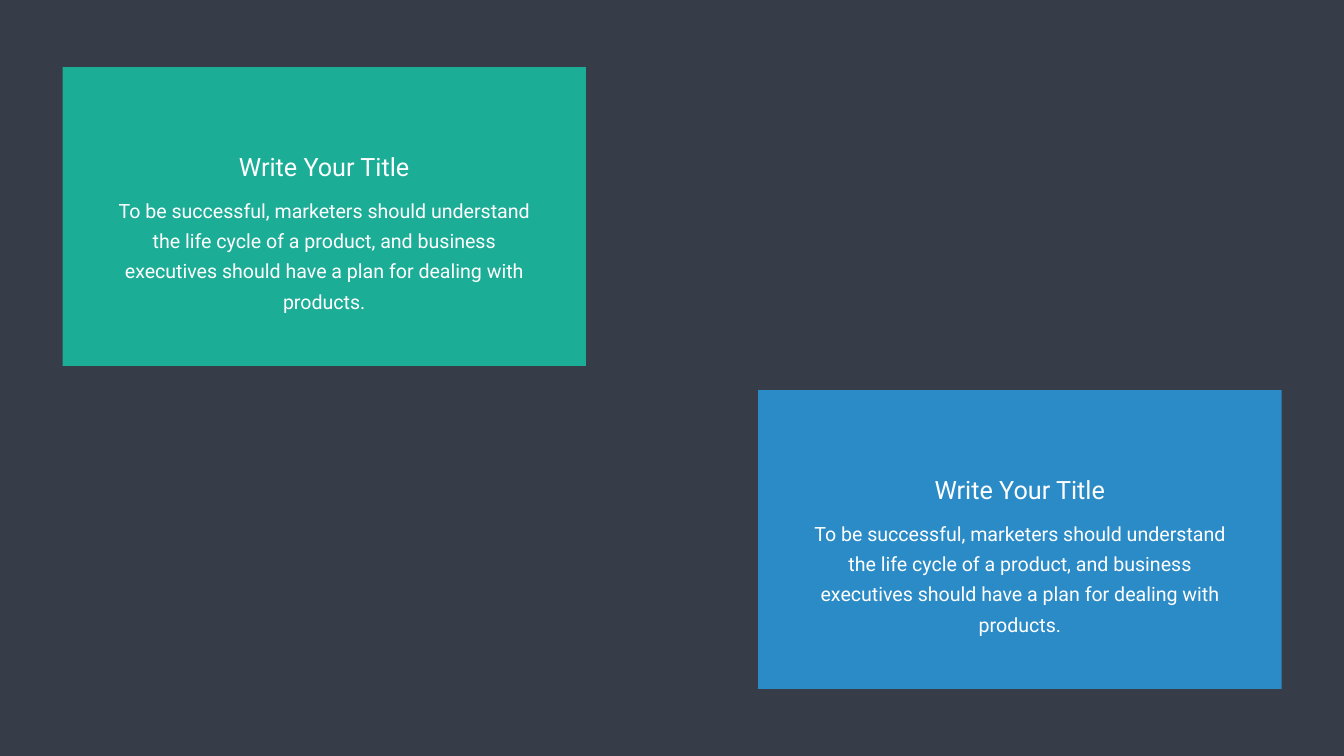
from pptx import Presentation
from pptx.dml.color import RGBColor
from pptx.enum.shapes import MSO_SHAPE
from pptx.enum.text import MSO_AUTO_SIZE, PP_ALIGN
from pptx.util import Pt

COLORS = {"back": "363D48", "green": "1CAD97", "blue": "2B8BC7", "text": "FFFFFF"}
FONT = "Roboto"
WIDE, HIGH = 747.4, 427
TITLE = "Write Your Title"
BODY = (
    "To be successful, marketers should understand the life cycle of a product, "
    "and business executives should have a plan for dealing with products."
)


def paint(fill, name):
    fill.solid()
    fill.fore_color.rgb = RGBColor.from_string(COLORS[name])


def add_text(slide, text, mid, top, width, height, size, line=None):
    """Add a text box centred on the x position mid."""
    box = slide.shapes.add_textbox(Pt(mid - width / 2), Pt(top), Pt(width), Pt(height))
    frame = box.text_frame
    frame.word_wrap = True
    frame.auto_size = MSO_AUTO_SIZE.SHAPE_TO_FIT_TEXT
    para = frame.paragraphs[0]
    para.text = text
    para.alignment = PP_ALIGN.CENTER
    if line:
        para.line_spacing = Pt(line)
    para.font.name = FONT
    para.font.size = Pt(size)
    para.font.color.rgb = RGBColor.from_string(COLORS["text"])


def add_card(slide, left, top, color):
    # Panel
    card = slide.shapes.add_shape(
        MSO_SHAPE.RECTANGLE, Pt(left), Pt(top), Pt(WIDE), Pt(HIGH)
    )
    card.shadow.inherit = False
    paint(card.fill, color)
    card.line.fill.background()

    # Body and title
    mid = left + WIDE / 2
    add_text(slide, BODY, mid, top + 175.7, 640.8, 134, 28, line=43)
    add_text(slide, TITLE, mid, top + 117.4, 301.7, 51, 36)


def main():
    deck = Presentation()
    deck.slide_width, deck.slide_height = Pt(1919.52), Pt(1080)
    slide = deck.slides.add_slide(deck.slide_layouts[6])
    paint(slide.background.fill, "back")

    # Cards on the falling diagonal
    add_card(slide, 89.3, 95.8, "green")
    add_card(slide, 1082.9, 557.3, "blue")

    deck.save("out.pptx")


if __name__ == "__main__":
    main()
